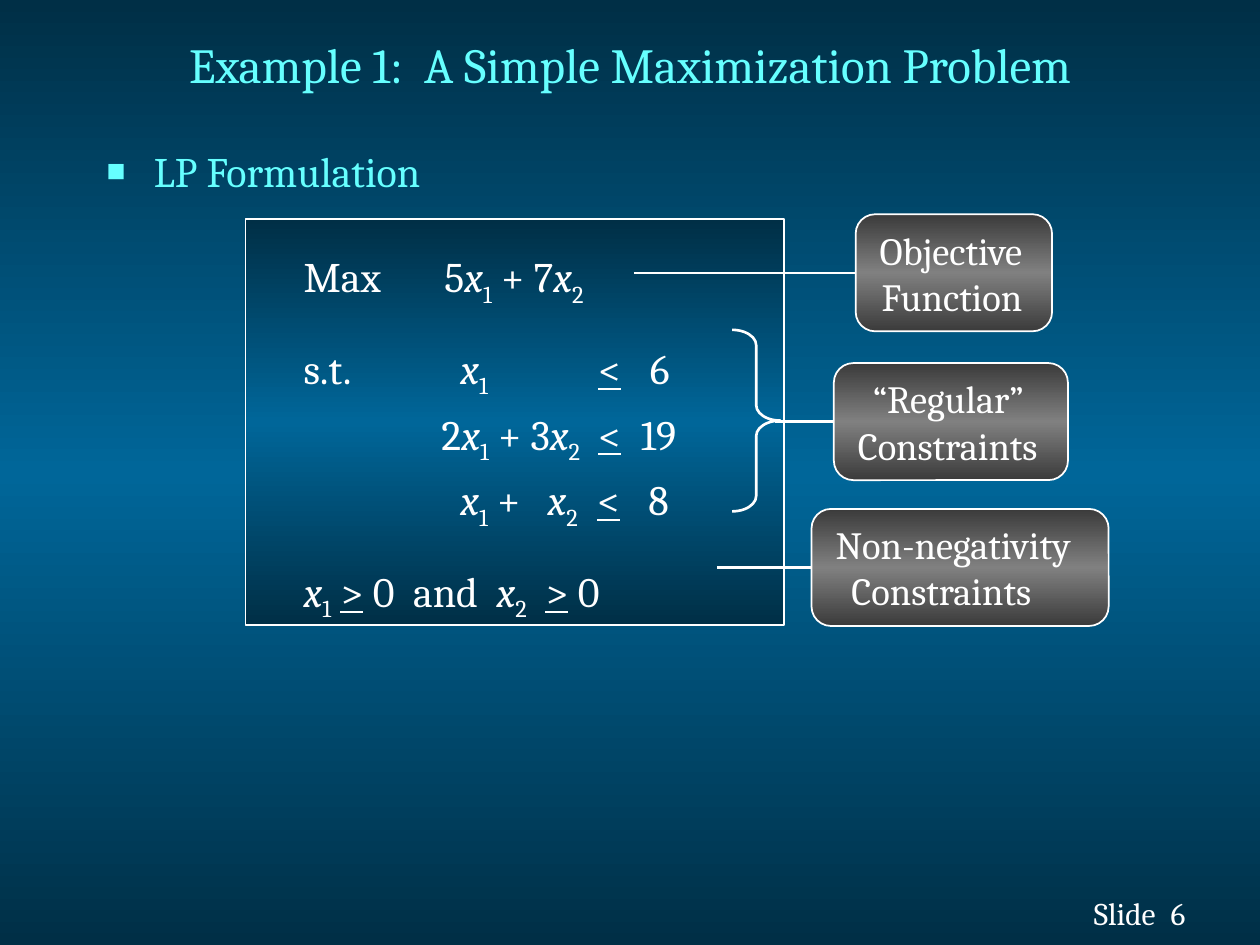
from itertools import groupby

from pptx import Presentation
from pptx import util as u
from pptx.dml.color import RGBColor
from pptx.enum import shapes, text
from pptx.oxml import parse_xml
from pptx.oxml.ns import nsdecls, qn

WHITE = RGBColor(0xFF, 0xFF, 0xFF)
AQUA = RGBColor(0x66, 0xFF, 0xFF)
NAVY = RGBColor(0x00, 0x2F, 0x46)
BLUE = RGBColor(0x00, 0x66, 0x99)
COAL = RGBColor(0x3B, 0x3B, 0x3B)
GREY = RGBColor(0x80, 0x80, 0x80)
FONT = "Cambria"

ROWS = [
    ("Max\t5x1 + 7x2", 0, 0, [2.84]),
    ("s.t.\tx1\t<\t6", 0, 19.5, [3.16, 5.94, 6.98]),
    ("\t2x1 + 3x2\t<\t19", 0, 4.8, [2.78, 5.94, 6.8]),
    ("\tx1 +\tx2\t<\t8", 0, 4.8, [3.16, 4.92, 5.92, 6.95]),
    ("x1 > 0  and  x2  > 0", 1.1, 19.5, []),
]
LABELS = [
    ((17.25, 4.32, 3.96, 2.36), [("Objective", 0), ("Function", 0.04)], 12.78),
    ((16.81, 7.32, 4.72, 2.36), [("“Regular”", 0.3), ("Constraints", 0)], 15.62),
    ((16.36, 10.26, 5.99, 2.36), [("Non-negativity", 0), ("Constraints", 0.32)], 14.45),
]


def node(xml):
    """Parse a drawing element given without its namespace."""
    head, rest = xml.split(" ", 1)
    return parse_xml(f"{head} {nsdecls('a')} {rest}")


def put(obj, form):
    """Set every attribute in the format dict."""
    for name, val in form.items():
        setattr(obj, name, val)


def dye(font, size, tint):
    """Give a font its face, size and colour."""
    put(font, {"name": FONT, "size": u.Pt(size)})
    font.color.rgb = tint


def frame(shape, wrap=True, left=0.25):
    """Set the margins and wrapping of a shape and return its text frame."""
    body = shape.text_frame
    put(body, {"word_wrap": wrap, "auto_size": text.MSO_AUTO_SIZE.NONE,
               "margin_left": u.Cm(left), "margin_right": u.Cm(0.25),
               "margin_top": u.Cm(0.13), "margin_bottom": u.Cm(0.13)})
    return body


def shade(fill, host, edge, mid):
    """Fill with a vertical gradient that is symmetric about its middle."""
    fill.background()
    stops = "".join(f'<a:gs pos="{pos}"><a:srgbClr val="{tint}"/></a:gs>'
                    for pos, tint in ((0, edge), (50000, mid), (100000, edge)))
    host.replace(host.find(qn("a:noFill")), node(
        f'<a:gradFill rotWithShape="1"><a:gsLst>{stops}</a:gsLst>'
        '<a:lin ang="5400000" scaled="0"/></a:gradFill>'))


def panel(slide, kind, box, edge, mid):
    """Add a gradient shape with a thin white outline."""
    shape = slide.shapes.add_shape(kind, *map(u.Cm, box))
    shape.shadow.inherit = False
    shade(shape.fill, shape._element.spPr, edge, mid)
    shape.line.color.rgb = WHITE
    shape.line.width = u.Pt(1)
    return shape


def head(slide, box, words):
    """Place the slide title."""
    title = slide.shapes.title
    put(title, dict(zip(("left", "top", "width", "height"), map(u.Cm, box))))
    body = frame(title)
    body.vertical_anchor = text.MSO_ANCHOR.MIDDLE
    body.text = words
    para = body.paragraphs[0]
    para.alignment = text.PP_ALIGN.CENTER
    dye(para.runs[0].font, 28, AQUA)


def topic(slide, box, words):
    """Place the bulleted heading in the body placeholder."""
    item = slide.placeholders[1]
    put(item, dict(zip(("left", "top", "width", "height"), map(u.Cm, box))))
    body = frame(item)
    body.text = words
    para = body.paragraphs[0]
    para.space_before = u.Pt(4.8)
    dye(para.runs[0].font, 24, AQUA)
    props = para._p.get_or_add_pPr()
    put(props, {"marL": u.Cm(0.95), "indent": -u.Cm(0.95)})
    for xml in (f'<a:buClr ><a:srgbClr val="{AQUA}"/></a:buClr>',
                '<a:buSzPct val="75000"/>', '<a:buChar char="■"/>'):
        props.append(node(xml))


def style(row, pos):
    """Name the style of one character of a formula."""
    if row[pos] in "<>":
        return "rel"
    if row[pos] == "x" and row[pos + 1:pos + 2].isdigit():
        return "var"
    if row[pos].isdigit() and row[pos - 1:pos] == "x":
        return "sub"
    return "plain"


def model(slide, box):
    """Draw the framed linear program."""
    left, top, wide, high = box
    panel(slide, shapes.MSO_SHAPE.RECTANGLE, box, NAVY, BLUE)
    area = slide.shapes.add_textbox(
        *map(u.Cm, (left + 0.92, top + 0.51, wide - 1.58, high - 0.59)))
    body = frame(area)
    for num, (row, dent, gap, stops) in enumerate(ROWS):
        para = body.add_paragraph() if num else body.paragraphs[0]
        para.space_before = u.Pt(gap)
        props = para._p.get_or_add_pPr()
        put(props, {"marL": u.Cm(dent), "indent": 0})
        tabs = "".join(f'<a:tab pos="{u.Cm(stop)}" algn="l"/>' for stop in stops)
        props.append(node(f"<a:tabLst >{tabs}</a:tabLst>"))
        for kind, group in groupby(range(len(row)), lambda pos: style(row, pos)):
            run = para.add_run()
            run.text = "".join(row[pos] for pos in group)
            dye(run.font, 24, WHITE)
            put(run.font, {"italic": kind == "var", "underline": kind == "rel"})
            if kind == "sub":
                run.font._element.set("baseline", "-25000")


def label(slide, box, lines, start):
    """Draw a callout with a line that reaches back to its formula."""
    left, top, wide, high = box
    shape = panel(slide, shapes.MSO_SHAPE.ROUNDED_RECTANGLE, box, COAL, GREY)
    body = frame(shape, False, 0.37)
    body.vertical_anchor = text.MSO_ANCHOR.MIDDLE
    for num, (words, dent) in enumerate(lines):
        para = body.add_paragraph() if num else body.paragraphs[0]
        para.alignment = text.PP_ALIGN.LEFT
        para._p.get_or_add_pPr().set("marL", str(u.Cm(dent)))
        para.text = words
        dye(para.runs[0].font, 22, WHITE)
    mid = top + high / 2
    link = slide.shapes.add_connector(
        shapes.MSO_CONNECTOR.STRAIGHT, *map(u.Cm, (start, mid, left, mid)))
    link.line.color.rgb = WHITE
    link.line.width = u.Pt(1.5)
    link._element.spPr.append(node("<a:effectLst />"))


def brace(slide, box):
    """Draw the brace that gathers the constraints."""
    shape = slide.shapes.add_shape(shapes.MSO_SHAPE.RIGHT_BRACE, *map(u.Cm, box))
    shape.shadow.inherit = False
    shape.adjustments[0] = 0.32
    shape.fill.background()
    shape.line.color.rgb = WHITE
    shape.line.width = u.Pt(1.5)


def foot(slide, box):
    """Write the slide number with shadowed letters."""
    left, top, wide, high = box
    for words, shift in (("Slide", 0), ("6", 1.55)):
        area = slide.shapes.add_textbox(
            *map(u.Cm, (left + shift, top, wide - shift, high)))
        run = frame(area, False).paragraphs[0].add_run()
        run.text = words
        dye(run.font, 18, WHITE)
        run.font._element.find(qn("a:solidFill")).addnext(node(
            '<a:effectLst ><a:outerShdw dist="35921" dir="2700000">'
            '<a:srgbClr val="000000"/></a:outerShdw></a:effectLst>'))


def main():
    """Build the slide and save it."""
    deck = Presentation()
    deck.slide_width, deck.slide_height = u.Cm(25.4), u.Cm(19.05)
    slide = deck.slides.add_slide(deck.slide_layouts[1])
    fill = slide.background.fill
    shade(fill, slide._element.find(".//" + qn("p:bgPr")), NAVY, BLUE)
    head(slide, (1.9, 0.15, 21.6, 2.26), "Example 1:  A Simple Maximization Problem")
    topic(slide, (1.9, 2.8, 7.67, 1.5), "LP Formulation")
    model(slide, (4.95, 4.42, 10.85, 8.18))
    for box, lines, start in LABELS:
        label(slide, box, lines, start)
    brace(slide, (14.76, 6.65, 0.97, 3.66))
    foot(slide, (21.8, 17.9, 2.9, 1.02))
    deck.save("out.pptx")


if __name__ == "__main__":
    main()
